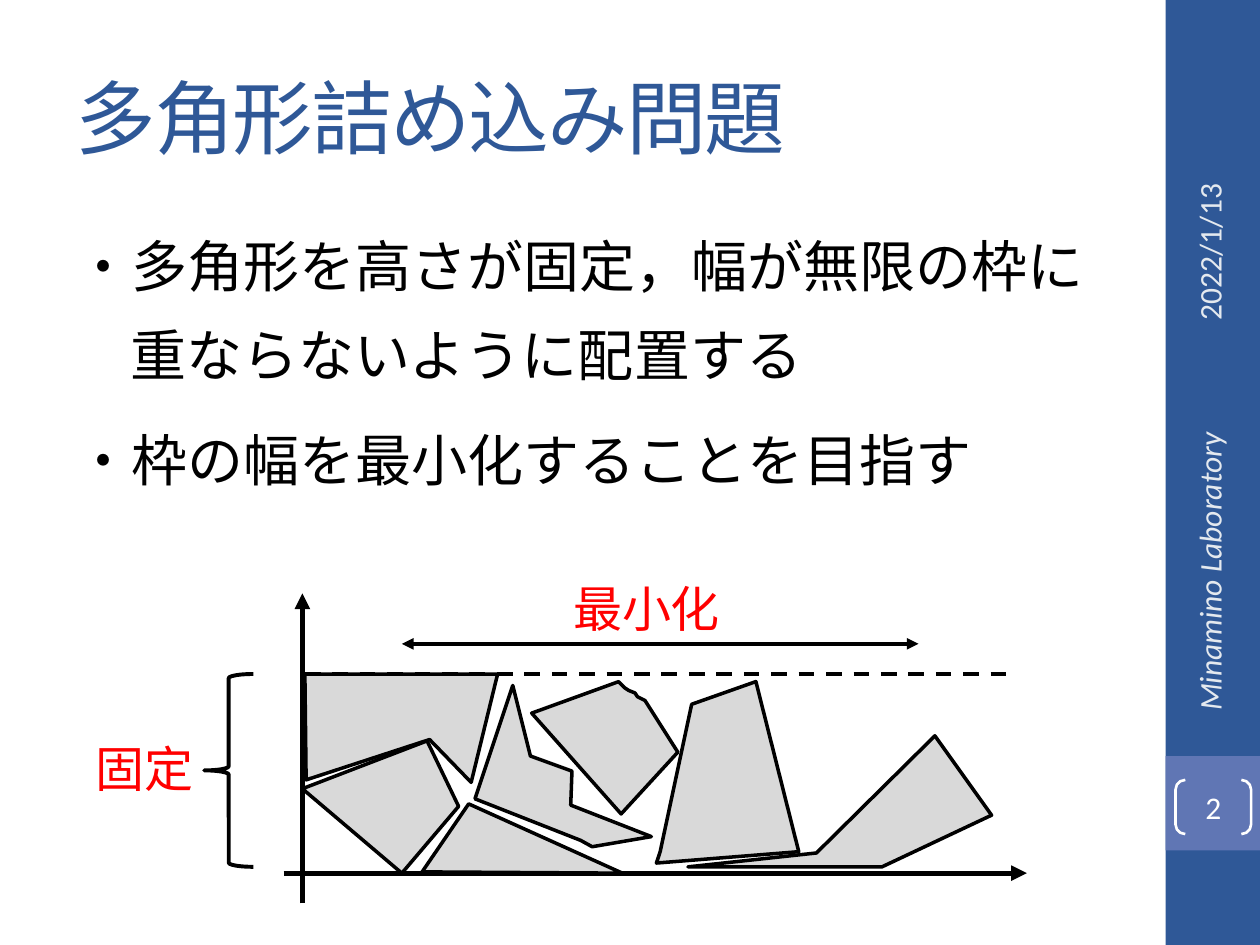
from pptx import Presentation
from pptx.util import Inches, Pt
from pptx.dml.color import RGBColor
from pptx.enum.dml import MSO_LINE
from pptx.enum.shapes import MSO_CONNECTOR, MSO_SHAPE
from pptx.enum.text import MSO_ANCHOR, PP_ALIGN
from pptx.oxml.ns import qn
from lxml.etree import SubElement


def rgb(value):
    return RGBColor.from_string(value)


def write(sp, text, size, font, color, align=PP_ALIGN.LEFT, **fmt):
    tf = sp.text_frame
    tf.word_wrap = True
    tf.vertical_anchor = fmt.pop("anchor", MSO_ANCHOR.TOP)
    p = tf.paragraphs[0]
    p.alignment = align
    r = p.add_run()
    r.text = text
    for name, value in {"size": Pt(size), "name": font, **fmt}.items():
        setattr(r.font, name, value)
    r.font.color.rgb = rgb(color)
    if font == JP:
        SubElement(r._r.get_or_add_rPr(), qn("a:ea"), typeface=font)
    return p


JP = "Noto Sans CJK JP"
MIDDLE = MSO_ANCHOR.MIDDLE

prs = Presentation()
prs.slide_width, prs.slide_height = Inches(10), Inches(7.5)
s = prs.slides.add_slide(prs.slide_layouts[6])

for top, height, color in [(0, 7.5, "2F5897"), (6, 0.75, "6076B4")]:
    sp = s.shapes.add_shape(MSO_SHAPE.RECTANGLE, Inches(9.25), Inches(top), Inches(0.75), Inches(height))
    sp.shadow.inherit = False
    sp.fill.solid()
    sp.fill.fore_color.rgb = rgb(color)
    sp.line.fill.background()

sp = s.shapes.add_textbox(Inches(0.5), Inches(0.3), Inches(8.33), Inches(1.25))
p = write(sp, "多角形詰め込み問題", 46, "Cambria", "2F5897", anchor=MIDDLE)
p.runs[0]._r.get_or_add_rPr().set("spc", "-100")

side_texts = [
    ("2022/1/13", 8.26, 1.8, 2.67, PP_ALIGN.CENTER, False),
    ("Minamino Laboratory", 8.3, 4.43, 2.59, PP_ALIGN.RIGHT, True),
]
for text, left, top, width, align, italic in side_texts:
    sp = s.shapes.add_textbox(Inches(left), Inches(top), Inches(width), Inches(0.4))
    sp.rotation = 270
    write(sp, text, 18, "Calibri", "E4E9EF", align, anchor=MIDDLE, italic=italic)

sp = s.shapes.add_shape(MSO_SHAPE.DOUBLE_BRACKET, Inches(9.33), Inches(6.19), Inches(0.6), Inches(0.43))
sp.shadow.inherit = False
sp.adjustments[0] = 0.18
sp.fill.background()
sp.line.color.rgb = rgb("FFFFFF")
sp.line.width = Pt(1.5)
for side in ("left", "top", "right", "bottom"):
    setattr(sp.text_frame, f"margin_{side}", 0)
write(sp, "2", 18, "Calibri", "FFFFFF", PP_ALIGN.CENTER, anchor=MIDDLE)

body = [
    ("・多角形を高さが固定，幅が無限の枠に", 0.5, 1.86),
    ("重ならないように配置する", 0.94, 2.57),
    ("・枠の幅を最小化することを目指す", 0.5, 3.4),
]
for text, left, top in body:
    sp = s.shapes.add_textbox(Inches(left), Inches(top), Inches(9.25 - left), Inches(0.58))
    p = write(sp, text, 32, JP, "000000")
    p.line_spacing = Pt(33)

axes = [
    ((2.4, 7.17), (2.4, 4.71), 3, ["tailEnd"], None),
    ((2.25, 6.93), (8.15, 6.93), 3, ["tailEnd"], None),
]
guides = [
    ((2.42, 5.35), (8, 5.35), 2.25, [], MSO_LINE.DASH),
    ((3.19, 5.11), (7.29, 5.11), 2.25, ["headEnd", "tailEnd"], None),
]
polygons = [
    [(2.4, 6.26), (3.19, 6.93), (3.64, 6.4), (3.39, 5.88)],
    [(3.35, 6.92), (3.72, 6.38), (4.94, 6.93)],
    [(4.7, 6.72), (4.61, 6.67), (3.77, 6.34), (4.07, 5.44), (4.21, 6), (4.54, 6.12), (4.53, 6.39), (5.17, 6.64)],
    [(3.41, 5.87), (3.74, 6.21), (3.95, 5.35), (2.42, 5.35), (2.43, 6.19)],
    [(5.12, 5.56), (5.06, 5.53), (5.04, 5.5), (4.99, 5.48), (4.96, 5.46), (4.91, 5.41), (4.22, 5.66),
     (4.93, 6.46), (5.38, 5.97)],
    [(5.21, 6.85), (5.24, 6.76), (5.49, 5.59), (6, 5.41), (6.34, 6.76)],
    [(5.46, 6.88), (7, 6.88), (7.87, 6.47), (7.42, 5.84), (6.48, 6.77)],
]
for lines, shapes in [(axes, polygons), (guides, [])]:
    for start, end, width, arrows, dash in lines:
        cn = s.shapes.add_connector(MSO_CONNECTOR.STRAIGHT, *map(Inches, start + end))
        cn.line.color.rgb = rgb("000000")
        cn.line.width = Pt(width)
        if dash:
            cn.line.dash_style = dash
        for arrow in arrows:
            SubElement(cn.line._get_or_add_ln(), qn(f"a:{arrow}"), type="triangle")
        SubElement(cn._element.spPr, qn("a:effectLst"))
    for points in shapes:
        first, *rest = [(Inches(x), Inches(y)) for x, y in points]
        fb = s.shapes.build_freeform(*first)
        fb.add_line_segments(rest, close=True)
        sp = fb.convert_to_shape()
        sp.shadow.inherit = False
        sp.fill.solid()
        sp.fill.fore_color.rgb = rgb("D9D9D9")
        sp.line.color.rgb = rgb("000000")
        sp.line.width = Pt(2)

sp = s.shapes.add_shape(MSO_SHAPE.LEFT_BRACE, Inches(1.62), Inches(5.35), Inches(0.39), Inches(1.53))
sp.shadow.inherit = False
sp.fill.background()
sp.line.color.rgb = rgb("000000")
sp.line.width = Pt(2.25)

labels = [
    ("固定", 0.52, 5.81, 1.26, PP_ALIGN.CENTER),
    ("最小化", 4.45, 4.54, 1.49, PP_ALIGN.LEFT),
]
for text, left, top, width, align in labels:
    sp = s.shapes.add_textbox(Inches(left), Inches(top), Inches(width), Inches(0.57))
    write(sp, text, 28, JP, "FF0000", align)

prs.save("out.pptx")
